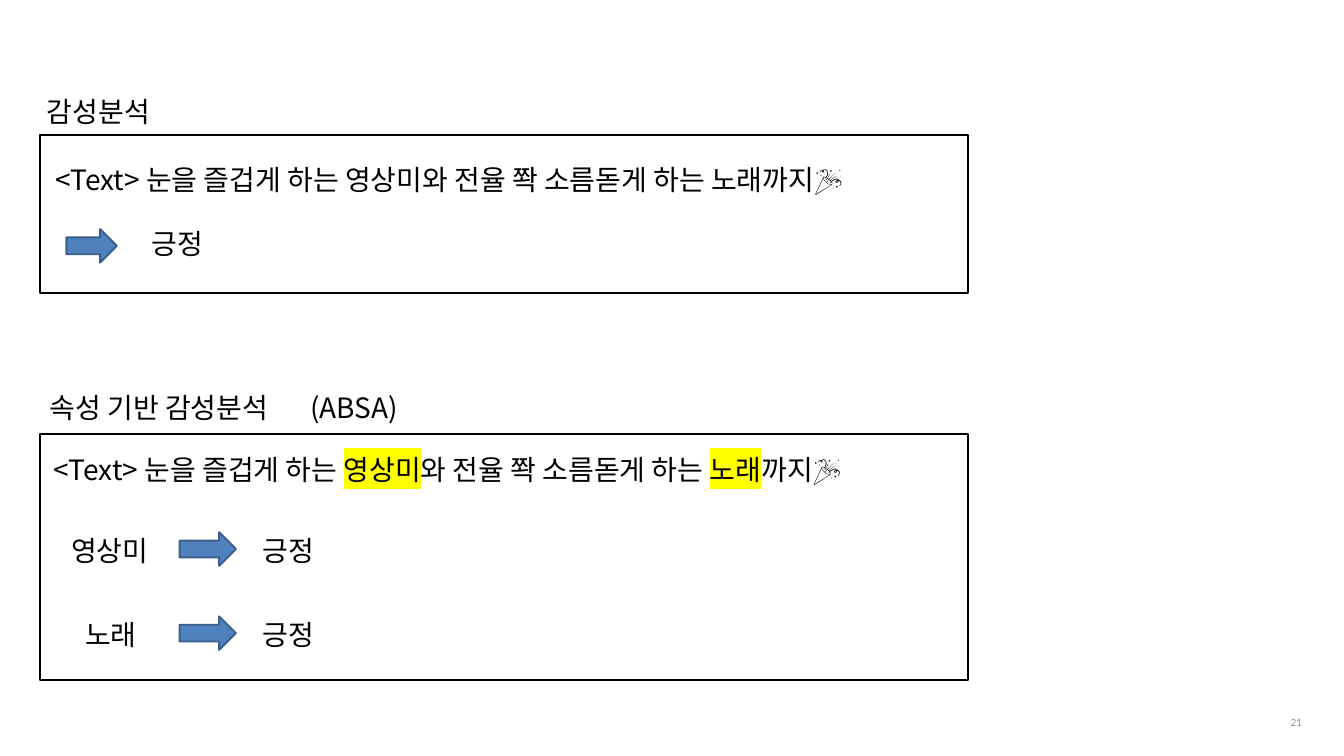
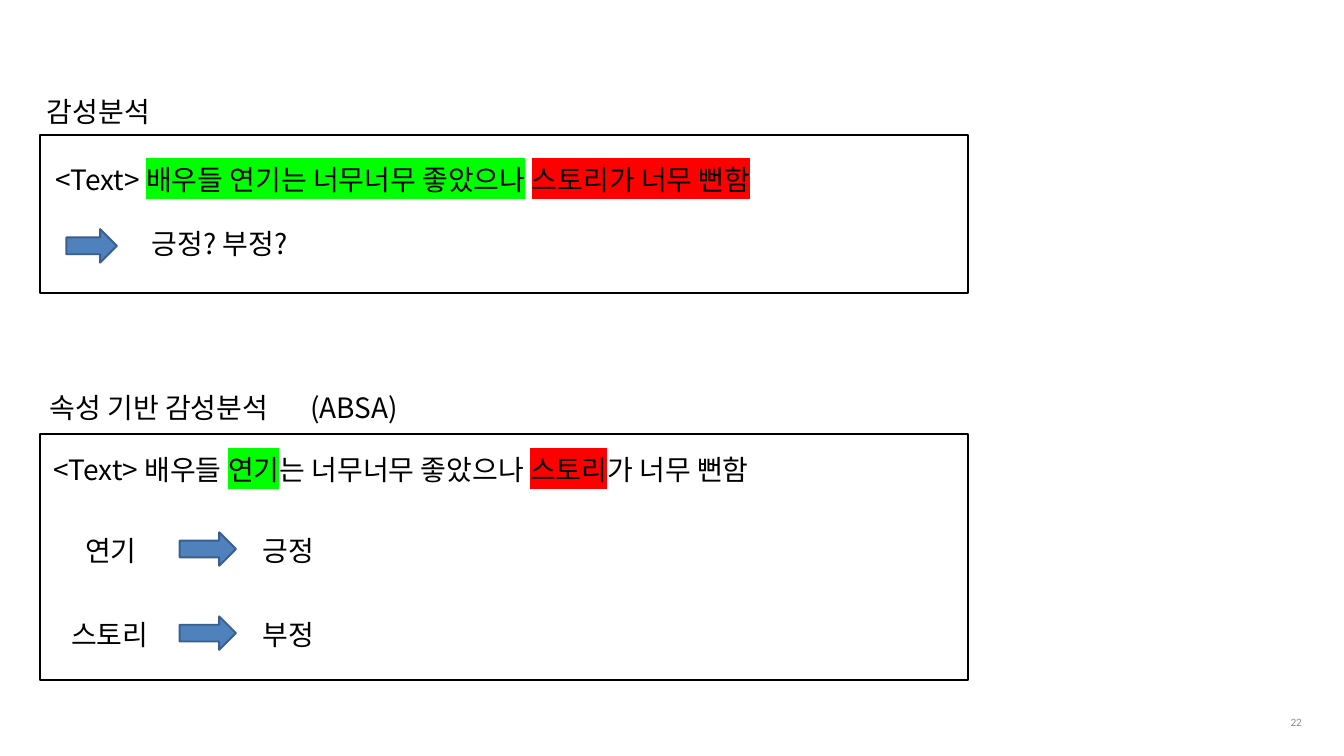
"""Two slides that compare sentiment analysis with aspect-based sentiment analysis."""
from dataclasses import dataclass

from lxml.etree import SubElement
from pptx import Presentation
from pptx.dml.color import RGBColor
from pptx.enum.shapes import MSO_SHAPE as Preset
from pptx.enum.text import MSO_ANCHOR as Anchor, MSO_AUTO_SIZE as AutoSize, PP_ALIGN as Align
from pptx.oxml.ns import qn
from pptx.util import Cm, Pt


@dataclass(frozen=True)
class Theme:
    ink: str = "000000"
    arrow: str = "4F81BD"
    arrow_edge: str = "3A5F8C"
    muted: str = "8C8C8C"
    body_font: str = "Noto Sans CJK KR"
    number_font: str = "Calibri"
    body_size: int = 30
    number_size: int = 12
    outline: int = 2


THEME = Theme()
YELLOW, GREEN, RED = "FFFF00", "00FF00", "FF0000"

SENTIMENT = "감성분석"
ASPECT_BASED = "속성 기반 감성분석"
ABBREVIATION = "(ABSA)"

EXAMPLES = [
    {
        "number": 21,
        "review_width": 34.26,
        "review": [("<Text> 눈을 즐겁게 하는 영상미와 전율 쫙 소름돋게 하는 노래까지🎉", None)],
        "overall": ("긍정", 2.64),
        "marked_review": [
            ("<Text> 눈을 즐겁게 하는 ", None),
            ("영상미", YELLOW),
            ("와 전율 쫙 소름돋게 하는 ", None),
            ("노래", YELLOW),
            ("까지🎉", None),
        ],
        "aspects": [("영상미", "긍정"), ("노래", "긍정")],
    },
    {
        "number": 22,
        "review_width": 29.95,
        "review": [
            ("<Text> ", None),
            ("배우들 연기는 너무너무 좋았으나", GREEN),
            (" ", None),
            ("스토리가 너무 뻔함", RED),
        ],
        "overall": ("긍정? 부정?", 6.3),
        "marked_review": [
            ("<Text> 배우들 ", None),
            ("연기", GREEN),
            ("는 너무너무 좋았으나 ", None),
            ("스토리", RED),
            ("가 너무 뻔함", None),
        ],
        "aspects": [("연기", "긍정"), ("스토리", "부정")],
    },
]

SLIDE_WIDTH, SLIDE_HEIGHT = 50.8, 28.58
LINE_HEIGHT = 1.55
FRAME_LEFT, FRAME_WIDTH = 1.52, 35.08
ARROW_HEIGHT = 1.27
ASPECT_CENTRE, ASPECT_TOP, ASPECT_PITCH = 4.29, 20.04, 3.18
GLYPH_WIDTH, SIDE_INSETS = 1.07, 0.5


def add_text(shapes, text, left, top, width, height=LINE_HEIGHT, *, size=THEME.body_size,
             font=THEME.body_font, color=THEME.ink, align=Align.LEFT,
             anchor=Anchor.TOP, wrap=False):
    """Add one line of text, given as a string or as (words, highlight) pairs."""
    box = shapes.add_textbox(Cm(left), Cm(top), Cm(width), Cm(height))
    frame = box.text_frame
    frame.word_wrap = wrap
    frame.auto_size = AutoSize.NONE if wrap else AutoSize.SHAPE_TO_FIT_TEXT
    frame.vertical_anchor = anchor
    line = frame.paragraphs[0]
    line.alignment = align
    for words, highlight in [(text, None)] if isinstance(text, str) else text:
        run = line.add_run()
        run.text = words
        run.font.size = Pt(size)
        run.font.color.rgb = RGBColor.from_string(color)
        properties = run.font._element
        if highlight:
            marker = SubElement(properties, qn("a:highlight"))
            SubElement(marker, qn("a:srgbClr"), val=highlight)
        run.font.name = font
        SubElement(properties, qn("a:ea"), typeface=font)


def add_outlined(shapes, preset, left, top, width, height, edge, fill=None):
    """Add a preset shape with a plain outline and an optional fill."""
    shape = shapes.add_shape(preset, Cm(left), Cm(top), Cm(width), Cm(height))
    shape.shadow.inherit = False
    shape.line.color.rgb = RGBColor.from_string(edge)
    shape.line.width = Pt(THEME.outline)
    if fill:
        shape.fill.solid()
        shape.fill.fore_color.rgb = RGBColor.from_string(fill)
    else:
        shape.fill.background()


def add_frame(shapes, top, height):
    """Add the black frame around one analysis."""
    add_outlined(shapes, Preset.RECTANGLE, FRAME_LEFT, top, FRAME_WIDTH, height, THEME.ink)


def add_arrow(shapes, left, top, width):
    """Add an arrow that leads to a verdict."""
    add_outlined(shapes, Preset.RIGHT_ARROW, left, top, width, ARROW_HEIGHT,
                 THEME.arrow_edge, THEME.arrow)


def add_sentiment(shapes, example):
    """Add the analysis with one verdict for the whole review."""
    verdict, verdict_width = example["overall"]
    add_text(shapes, SENTIMENT, FRAME_LEFT, 3.45, 4.78)
    add_frame(shapes, 5.11, 5.97)
    add_text(shapes, example["review"], 1.83, 6.02, example["review_width"])
    add_arrow(shapes, 2.51, 8.66, 1.91)
    add_text(shapes, verdict, 5.49, 8.45, verdict_width)


def add_aspect_based(shapes, example):
    """Add the analysis with one verdict for each aspect."""
    heading = shapes.add_group_shape().shapes
    add_text(heading, ASPECT_BASED, 1.63, 14.63, 9.78)
    add_text(heading, ABBREVIATION, 11.48, 14.63, 4.09)
    add_frame(shapes, 16.41, 9.3)
    add_text(shapes, example["marked_review"], 1.77, 17, example["review_width"])
    for row, (aspect, verdict) in enumerate(example["aspects"]):
        top = ASPECT_TOP + row * ASPECT_PITCH
        width = SIDE_INSETS + GLYPH_WIDTH * len(aspect)
        add_text(shapes, aspect, ASPECT_CENTRE - width / 2, top, width)
        add_arrow(shapes, 6.79, top + 0.08, 2.13)
        add_text(shapes, verdict, 9.69, top, 2.97)


def main():
    """Build and save the slides."""
    deck = Presentation()
    deck.slide_width, deck.slide_height = Cm(SLIDE_WIDTH), Cm(SLIDE_HEIGHT)
    for example in EXAMPLES:
        shapes = deck.slides.add_slide(deck.slide_layouts[6]).shapes
        add_sentiment(shapes, example)
        add_aspect_based(shapes, example)
        add_text(shapes, str(example["number"]), 43.54, 26.77, 5.92, 1.02,
                 size=THEME.number_size, font=THEME.number_font, color=THEME.muted,
                 align=Align.RIGHT, anchor=Anchor.MIDDLE, wrap=True)
    deck.save("out.pptx")


if __name__ == "__main__":
    main()
